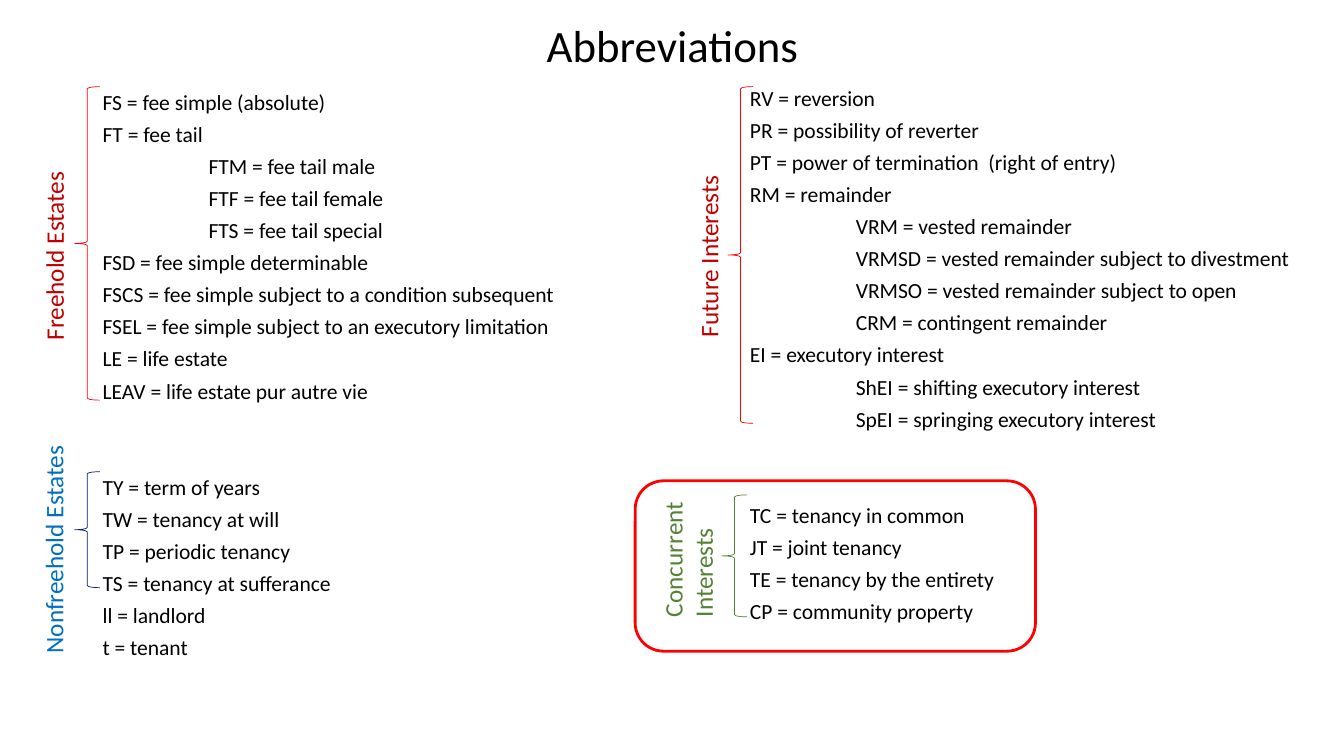
import pptx
import pptx.dml.color
import pptx.enum.shapes
import pptx.enum.text
import pptx.util

EMU_PER_PX = 9144  # 100 px to the inch
FONT = "Calibri"
COLORS = {
    "text": "000000",
    "red": "FF0000",
    "dark_red": "C00000",
    "blue": "0070C0",
    "navy": "002060",
    "green": "548235",
}
INDENT = 105
LIST_WIDTH = 567

# Each entry: indent level, text
FREEHOLD = [
    (0, "FS = fee simple (absolute)"),
    (0, "FT = fee tail"),
    (1, "FTM = fee tail male"),
    (1, "FTF = fee tail female"),
    (1, "FTS = fee tail special"),
    (0, "FSD = fee simple determinable"),
    (0, "FSCS = fee simple subject to a condition subsequent"),
    (0, "FSEL = fee simple subject to an executory limitation"),
    (0, "LE = life estate"),
    (0, "LEAV = life estate pur autre vie"),
]
NONFREEHOLD = [
    (0, "TY = term of years"),
    (0, "TW = tenancy at will"),
    (0, "TP = periodic tenancy"),
    (0, "TS = tenancy at sufferance"),
    (0, "ll = landlord"),
    (0, "t = tenant"),
]
FUTURE = [
    (0, "RV = reversion"),
    (0, "PR = possibility of reverter"),
    (0, "PT = power of termination  (right of entry)"),
    (0, "RM = remainder"),
    (1, "VRM = vested remainder"),
    (1, "VRMSD = vested remainder subject to divestment"),
    (1, "VRMSO = vested remainder subject to open"),
    (1, "CRM = contingent remainder"),
    (0, "EI = executory interest"),
    (1, "ShEI = shifting executory interest"),
    (1, "SpEI = springing executory interest"),
]
CONCURRENT = [
    (0, "TC = tenancy in common"),
    (0, "JT = joint tenancy"),
    (0, "TE = tenancy by the entirety"),
    (0, "CP = community property"),
]


def px(length):
    return pptx.util.Emu(length * EMU_PER_PX)


def rgb(name):
    return pptx.dml.color.RGBColor.from_string(COLORS[name])


def add_text(slide, box, text, size, color):
    """Add a text box with one paragraph per line of text."""
    shape = slide.shapes.add_textbox(*map(px, box))
    shape.text_frame.word_wrap = True
    shape.text_frame.text = text
    for paragraph in shape.text_frame.paragraphs:
        for run in paragraph.runs:
            run.font.name = FONT
            run.font.size = pptx.util.Pt(size)
            run.font.color.rgb = rgb(color)
    return shape


def add_title(slide, box, text):
    shape = add_text(slide, box, text, 32, "text")
    shape.text_frame.vertical_anchor = pptx.enum.text.MSO_ANCHOR.MIDDLE
    paragraph = shape.text_frame.paragraphs[0]
    paragraph.alignment = pptx.enum.text.PP_ALIGN.CENTER
    paragraph.line_spacing = 0.9


def add_list(slide, left, top, height, entries):
    text = "\n".join(entry for level, entry in entries)
    shape = add_text(slide, (left, top, LIST_WIDTH, height), text, 15.4, "text")
    for paragraph, (level, entry) in zip(shape.text_frame.paragraphs, entries):
        paragraph.line_spacing = 0.7
        paragraph.space_before = pptx.util.Pt(10)
        if level:
            properties = paragraph._p.get_or_add_pPr()
            properties.set("marL", str(px(level * INDENT)))
            properties.set("indent", "0")


def add_side_label(slide, box, text, color):
    shape = add_text(slide, box, text, 18, color)
    shape.text_frame.word_wrap = False
    shape.rotation = 270


def add_outline(slide, kind, box, color, width):
    shape = slide.shapes.add_shape(kind, *map(px, box))
    shape.shadow.inherit = False
    shape.fill.background()
    shape.line.color.rgb = rgb(color)
    shape.line.width = pptx.util.Pt(width)


def main():
    presentation = pptx.Presentation()
    presentation.slide_width = px(1333)
    presentation.slide_height = px(750)
    slide = presentation.slides.add_slide(presentation.slide_layouts[6])

    add_title(slide, (92, 10, 1150, 76), "Abbreviations")

    # Abbreviation lists
    add_list(slide, 92, 90, 330, FREEHOLD)
    add_list(slide, 92, 472, 203, NONFREEHOLD)
    add_list(slide, 734, 86, 360, FUTURE)
    add_list(slide, 734, 500, 140, CONCURRENT)

    # Braces grouping each list
    brace = pptx.enum.shapes.MSO_SHAPE.LEFT_BRACE
    for left, top, height, color in [
        (74, 86, 311, "red"),
        (722, 86, 334, "red"),
        (74, 468, 115, "navy"),
        (716, 491, 121, "green"),
    ]:
        add_outline(slide, brace, (left, top, 25, height), color, 0.5)

    # Vertical group labels
    add_side_label(slide, (-41, 233, 189, 40), "Freehold Estates", "dark_red")
    add_side_label(slide, (-61, 524, 228, 40), "Nonfreehold Estates", "blue")
    add_side_label(slide, (611, 233, 183, 40), "Future Interests", "dark_red")
    add_side_label(slide, (612, 516, 141, 71), "Concurrent\nInterests", "green")

    # Frame around the concurrent interests
    rounded = pptx.enum.shapes.MSO_SHAPE.ROUNDED_RECTANGLE
    add_outline(slide, rounded, (630, 477, 397, 169), "red", 2)

    presentation.save("out.pptx")


if __name__ == "__main__":
    main()
